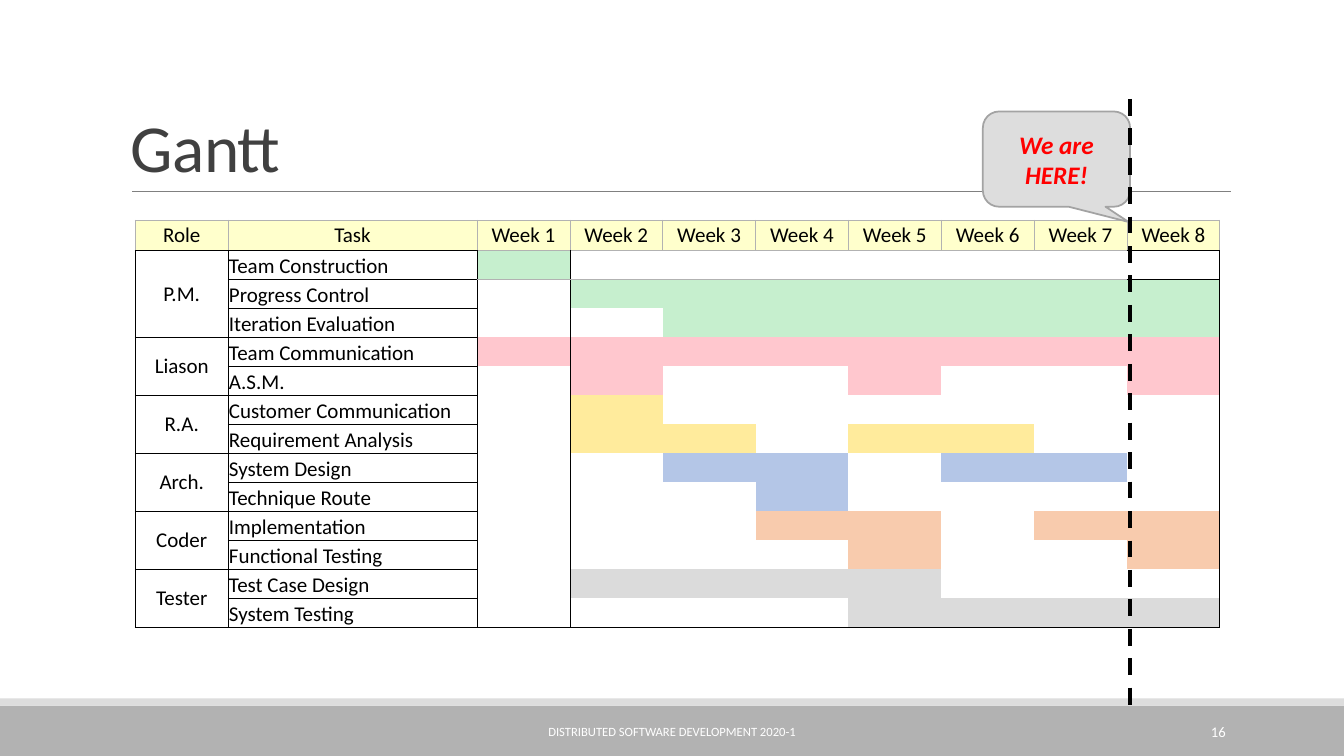
"""Build the Gantt slide: weekly task bars by role, with a marker at the current week."""
from lxml import etree
from pptx import Presentation
from pptx.dml.color import RGBColor
from pptx.enum.dml import MSO_LINE
from pptx.enum.shapes import MSO_CONNECTOR, MSO_SHAPE
from pptx.enum.text import MSO_ANCHOR, PP_ALIGN
from pptx.oxml.ns import qn
from pptx.util import Cm, Pt

LEFT, CENTER, RIGHT = PP_ALIGN.LEFT, PP_ALIGN.CENTER, PP_ALIGN.RIGHT
MIDDLE, BOTTOM = MSO_ANCHOR.MIDDLE, MSO_ANCHOR.BOTTOM
RECT, CALLOUT = MSO_SHAPE.RECTANGLE, MSO_SHAPE.ROUNDED_RECTANGULAR_CALLOUT
STRAIGHT, DASH = MSO_CONNECTOR.STRAIGHT, MSO_LINE.DASH

BLACK = RGBColor(0x00, 0x00, 0x00)
WHITE = RGBColor(0xFF, 0xFF, 0xFF)
RED = RGBColor(0xFF, 0x00, 0x00)
TITLE_GREY = RGBColor(0x40, 0x40, 0x40)
RULE_GREY = RGBColor(0x80, 0x80, 0x80)
EDGE_GREY = RGBColor(0xA3, 0xA3, 0xA3)
MID_GREY = RGBColor(0xB2, 0xB2, 0xB2)
PALE_GREY = RGBColor(0xDD, 0xDD, 0xDD)
CREAM = RGBColor(0xFF, 0xFF, 0xCC)
GREEN = RGBColor(0xC6, 0xEF, 0xCE)
PINK = RGBColor(0xFF, 0xC7, 0xCE)
YELLOW = RGBColor(0xFF, 0xEB, 0x9C)
BLUE = RGBColor(0xB4, 0xC6, 0xE7)
ORANGE = RGBColor(0xF8, 0xCB, 0xAD)
SILVER = RGBColor(0xDB, 0xDB, 0xDB)

FONT = "Calibri"
NO_STYLE = "{2D5ABB26-0587-4C30-8999-92F81FD0307C}"
WEEKS = 8
HEADERS = ["Role", "Task"] + [f"Week {n}" for n in range(1, WEEKS + 1)]
PLAN = [
    ("P.M.", GREEN, [("Team Construction", [1]),
                     ("Progress Control", [2, 3, 4, 5, 6, 7, 8]),
                     ("Iteration Evaluation", [3, 4, 5, 6, 7, 8])]),
    ("Liason", PINK, [("Team Communication", [1, 2, 3, 4, 5, 6, 7, 8]),
                      ("A.S.M.", [2, 5, 8])]),
    ("R.A.", YELLOW, [("Customer Communication", [2]),
                      ("Requirement Analysis", [2, 3, 5, 6])]),
    ("Arch.", BLUE, [("System Design", [3, 4, 6, 7]),
                     ("Technique Route", [4])]),
    ("Coder", ORANGE, [("Implementation", [4, 5, 7, 8]),
                       ("Functional Testing", [5, 8])]),
    ("Tester", SILVER, [("Test Case Design", [2, 3, 4, 5]),
                        ("System Testing", [5, 6, 7, 8])]),
]
COL_W, TASK_W, HEAD_H, ROW_H = 2.34, 6.27, 0.76, 0.73


def write(tf, text, size=15, color=BLACK, align=LEFT, bold=False, italic=False,
          spacing=None, track=None):
    p = tf.paragraphs[0]
    p.alignment = align
    if spacing:
        p.line_spacing = spacing
    if not text:
        etree.SubElement(p._p, qn("a:endParaRPr"), sz=str(size * 100))
        return
    r = p.add_run()
    r.text = text
    r.font.name, r.font.size, r.font.color.rgb = FONT, Pt(size), color
    r.font.bold, r.font.italic = bold, italic
    if track:
        r._r.get_or_add_rPr().set("spc", str(track))


def add_text(s, box, text, anchor=MIDDLE, **fmt):
    tf = s.shapes.add_textbox(*map(Cm, box)).text_frame
    tf.word_wrap = True
    tf.vertical_anchor = anchor
    write(tf, text, **fmt)


def add_shape(s, kind, box, fill, line=None):
    sp = s.shapes.add_shape(kind, *map(Cm, box))
    sp.shadow.inherit = False
    sp.fill.solid()
    sp.fill.fore_color.rgb = fill
    if line:
        sp.line.color.rgb, sp.line.width = line, Pt(1.25)
    else:
        sp.line.fill.background()
    return sp


def add_line(s, ends, color, width, dash=None):
    cn = s.shapes.add_connector(STRAIGHT, *map(Cm, ends))
    cn.line.color.rgb, cn.line.width = color, Pt(width)
    if dash:
        cn.line.dash_style = dash
    etree.SubElement(cn._element.spPr, qn("a:effectLst"))


def format_cell(cell, text="", fill=None, anchor=MIDDLE, align=LEFT, borders=()):
    cell.margin_left = cell.margin_right = cell.margin_top = Cm(0.02)
    cell.margin_bottom = 0
    cell.vertical_anchor = anchor
    write(cell.text_frame, text, align=align)
    tc_pr = cell._tc.get_or_add_tcPr()
    for side in "LRTB":
        if side in borders:
            ln = etree.SubElement(tc_pr, qn(f"a:ln{side}"), w=str(Pt(0.5)))
            solid = etree.SubElement(ln, qn("a:solidFill"))
            etree.SubElement(solid, qn("a:srgbClr"), val=str(borders[side]))
    if fill:
        cell.fill.solid()
        cell.fill.fore_color.rgb = fill
    else:
        cell.fill.background()


def add_gantt(s, left, top):
    tasks = [(role, color, task, weeks, i, len(group))
             for role, color, group in PLAN
             for i, (task, weeks) in enumerate(group)]
    widths = [COL_W, TASK_W] + [COL_W] * WEEKS
    heights = [HEAD_H] + [ROW_H] * len(tasks)
    frame = s.shapes.add_table(len(heights), len(widths), Cm(left), Cm(top),
                               Cm(sum(widths)), Cm(sum(heights)))
    tb = frame.table
    tb.first_row = tb.horz_banding = False
    tb._tbl.tblPr.find(qn("a:tableStyleId")).text = NO_STYLE
    for col, w in zip(tb.columns, widths):
        col.width = Cm(w)
    for row, h in zip(tb.rows, heights):
        row.height = Cm(h)

    for c, label in enumerate(HEADERS):
        edge = BLACK if c in (0, 1, WEEKS + 1) else MID_GREY
        format_cell(tb.cell(0, c), label, CREAM, align=CENTER,
                    borders={**dict.fromkeys("LRT", MID_GREY), "B": edge})

    boxed = dict.fromkeys("LRTB", BLACK)
    for row, (role, color, task, weeks, i, size) in enumerate(tasks, 1):
        if i == 0:
            tb.cell(row, 0).merge(tb.cell(row + size - 1, 0))
        format_cell(tb.cell(row, 0), "" if i else role, align=CENTER, borders=boxed)
        format_cell(tb.cell(row, 1), task, anchor=BOTTOM, borders=boxed)
        for week in range(1, WEEKS + 1):
            borders = {}
            if week == 1:
                borders["L"] = BLACK
            if week == WEEKS:
                borders["R"] = BLACK
            if row == 1:
                borders["T"] = BLACK if week == WEEKS else MID_GREY
            if row == len(tasks):
                borders["B"] = BLACK
            format_cell(tb.cell(row, week + 1), fill=color if week in weeks else None,
                        borders=borders)


def main():
    prs = Presentation()
    prs.slide_width, prs.slide_height = Cm(33.87), Cm(19.05)
    s = prs.slides.add_slide(prs.slide_layouts[6])

    add_shape(s, RECT, (0, 17.78, 33.87, 1.27), MID_GREY)
    add_shape(s, RECT, (0, 17.6, 33.87, 0.18), PALE_GREY)
    add_line(s, (3.33, 4.83, 31.01, 4.83), RULE_GREY, 0.5)
    add_text(s, (3.05, 0.79, 27.94, 4.04), "Gantt", anchor=BOTTOM, size=48,
             color=TITLE_GREY, spacing=0.85, track=-50)
    add_gantt(s, 3.41, 5.55)
    add_text(s, (10.24, 17.93, 13.39, 1.02), "DISTRIBUTED SOFTWARE DEVELOPMENT 2020-1",
             size=9, color=WHITE, align=CENTER)
    add_text(s, (27.51, 17.93, 3.63, 1.02), "16", size=10.5, color=WHITE, align=RIGHT)

    callout = add_shape(s, CALLOUT, (24.77, 2.81, 3.71, 2.4), PALE_GREY, EDGE_GREY)
    for i, value in enumerate((0.49, 0.66, 0.17)):
        callout.adjustments[i] = value
    callout.text_frame.word_wrap = True
    callout.text_frame.vertical_anchor = MIDDLE
    write(callout.text_frame, "We are HERE!", size=18, color=RED, align=CENTER,
          bold=True, italic=True)
    add_line(s, (28.48, 2.49, 28.48, 17.93), BLACK, 3, DASH)
    prs.save("out.pptx")


if __name__ == "__main__":
    main()
